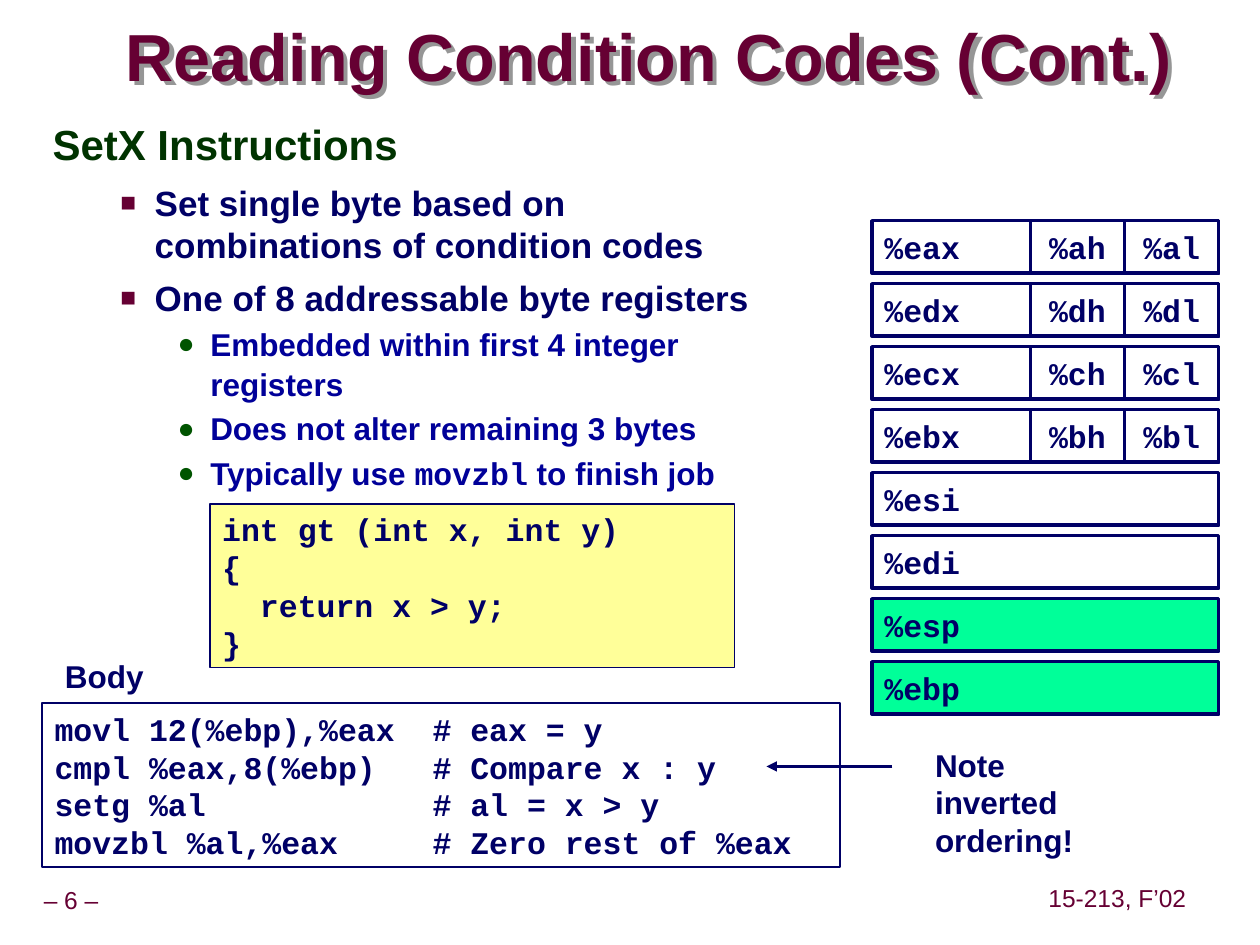
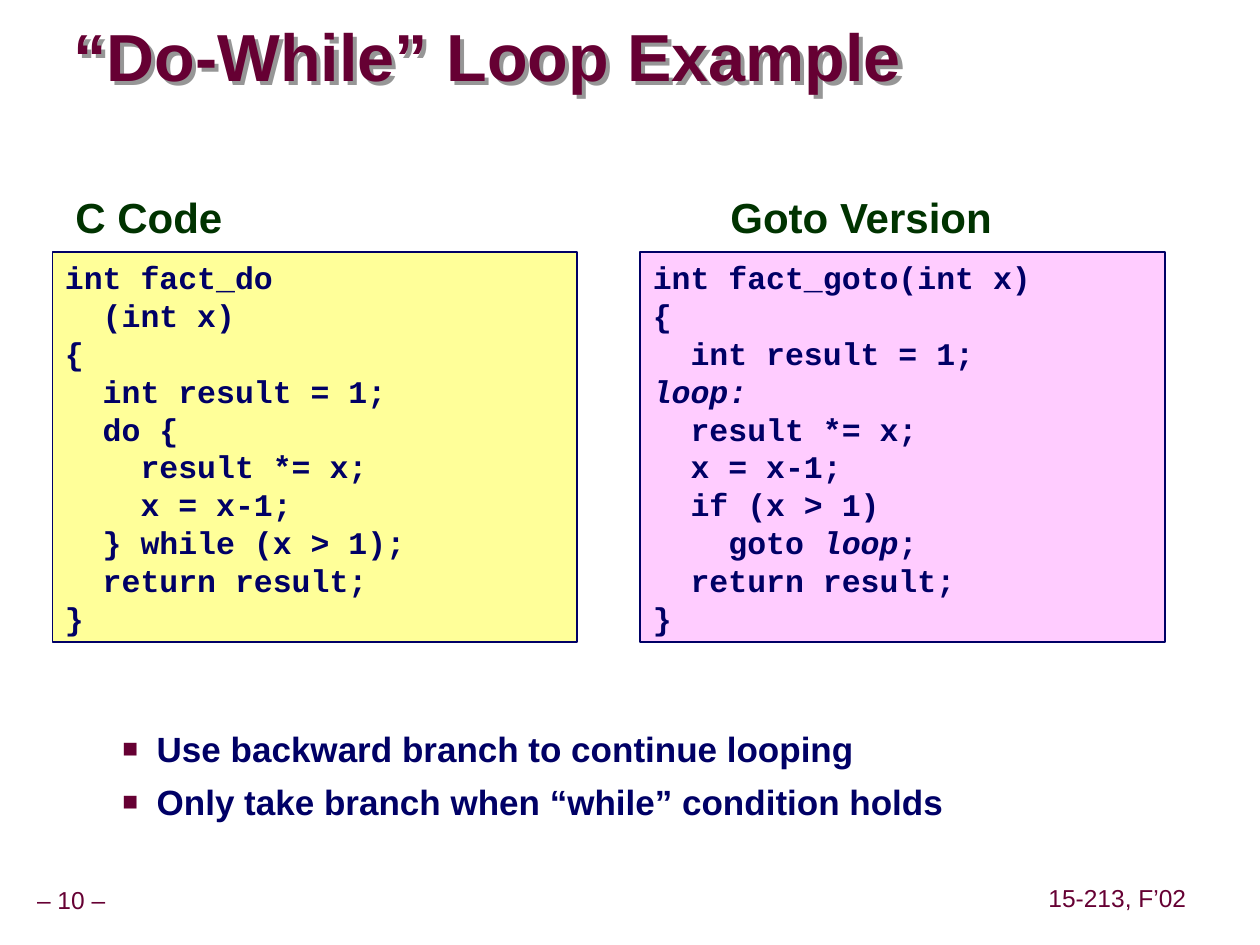
from dataclasses import dataclass
from typing import Optional

from lxml.etree import SubElement
from pptx import Presentation
from pptx.dml.color import RGBColor
from pptx.enum.shapes import MSO_CONNECTOR as Connector, MSO_SHAPE as Shape
from pptx.enum.text import MSO_ANCHOR as Anchor, PP_ALIGN as Align
from pptx.oxml.ns import qn
from pptx.util import Cm, Pt

MAROON = RGBColor(0x66, 0x00, 0x33)
NAVY = RGBColor(0x00, 0x00, 0x66)
BLUE = RGBColor(0x00, 0x00, 0x99)
DARK_GREEN = RGBColor(0x00, 0x33, 0x00)
BULLET_GREEN = RGBColor(0x00, 0x54, 0x00)
SHADOW_GRAY = RGBColor(0x96, 0x96, 0x96)
WHITE = RGBColor(0xFF, 0xFF, 0xFF)
YELLOW = RGBColor(0xFF, 0xFF, 0x99)
PINK = RGBColor(0xFF, 0xCC, 0xFF)
MINT = RGBColor(0x00, 0xFF, 0x99)
SANS, MONO = "Arial", "Courier New"


@dataclass
class TextStyle:
    size: float
    color: RGBColor
    font: str = SANS
    bold: bool = True
    line_spacing: Optional[float] = None
    space_before: float = 0
    indent: float = 0
    hanging: float = 0
    bullet: str = ""
    bullet_color: Optional[RGBColor] = None
    bullet_percent: int = 100
    tabs: tuple = ()
    accent_font: Optional[str] = None  # font of the marked segments; italic if none


TITLE = TextStyle(38, MAROON, line_spacing=0.87)
FOOTER = TextStyle(14, MAROON, bold=False, line_spacing=0.9)
HEADING = TextStyle(24, DARK_GREEN, line_spacing=0.95)
POINT = TextStyle(20, NAVY, space_before=6.2, indent=2.06, hanging=0.69,
                  bullet="■", bullet_color=MAROON, bullet_percent=75)
DETAIL = TextStyle(18, BLUE, line_spacing=1.07, space_before=2.2, indent=3.18, hanging=0.66,
                   bullet="●", bullet_color=BULLET_GREEN, bullet_percent=90, accent_font=MONO)
LABEL = TextStyle(18, NAVY)
CODE = TextStyle(18, NAVY, MONO, tabs=(5.08, 7.62))


class Deck:
    """Holds the presentation, its shared look and the current slide."""

    def __init__(self):
        self.presentation = Presentation()
        self.presentation.slide_width, self.presentation.slide_height = Cm(25.4), Cm(19.05)
        self.slide = None

    def new_slide(self, title, number, title_left, title_width):
        self.slide = self.presentation.slides.add_slide(self.presentation.slide_layouts[6])
        self.footer(f"– {number} –", 0, 17.78, 2.87)
        self.footer("15-213, F’02", 21, 17.75, 3.05)
        self.title(title, title_left, title_width)

    def title(self, title, left, width):
        box = self.text([(title, TITLE)], left, 0.43, width, 1.6, anchor=Anchor.MIDDLE, inset=(0, 0))
        effects = SubElement(box._element.spPr, qn("a:effectLst"))
        shadow = SubElement(effects, qn("a:outerShdw"), dist=str(Cm(0.12)), dir="2700000")
        SubElement(shadow, qn("a:srgbClr"), val=str(SHADOW_GRAY))

    def footer(self, text, left, top, width):
        self.text([(text, FOOTER)], left, top, width, 0.79, Align.CENTER, Anchor.MIDDLE, (0.13, 0.13))

    def text(self, lines, left, top, width, height, align=Align.LEFT, anchor=Anchor.TOP,
             inset=(0.25, 0.13)):
        box = self.slide.shapes.add_textbox(Cm(left), Cm(top), Cm(width), Cm(height))
        self.fill_text(box.text_frame, lines, align, anchor, inset)
        return box

    def box(self, lines, left, top, width, height, fill=None, line_width=1.0,
            align=Align.LEFT, anchor=Anchor.TOP):
        shape = self.slide.shapes.add_shape(Shape.RECTANGLE, Cm(left), Cm(top), Cm(width), Cm(height))
        shape.shadow.inherit = False
        if fill is None:
            shape.fill.background()
        else:
            shape.fill.solid()
            shape.fill.fore_color.rgb = fill
        shape.line.color.rgb = NAVY
        shape.line.width = Pt(line_width)
        self.fill_text(shape.text_frame, [(line, CODE) for line in lines], align, anchor)

    def fill_text(self, frame, lines, align, anchor, inset=(0.25, 0.13)):
        frame.word_wrap = True
        frame.vertical_anchor = anchor
        frame.margin_left = frame.margin_right = Cm(inset[0])
        frame.margin_top = frame.margin_bottom = Cm(inset[1])
        for index, (content, style) in enumerate(lines):
            paragraph = frame.add_paragraph() if index else frame.paragraphs[0]
            self.format_paragraph(paragraph, style, align, is_first=index == 0)
            segments = (content,) if isinstance(content, str) else content
            for position, segment in enumerate(segments):
                if not segment:
                    continue
                run = paragraph.add_run()
                run.text = segment
                if position % 2:  # every second segment is marked
                    if style.accent_font:
                        run.font.name = style.accent_font
                    else:
                        run.font.italic = True

    def format_paragraph(self, paragraph, style, align, is_first):
        properties = paragraph._p.get_or_add_pPr()
        if style.bullet:
            properties.set("marL", str(Cm(style.indent)))
            properties.set("indent", str(-Cm(style.hanging)))
            color = SubElement(properties, qn("a:buClr"))
            SubElement(color, qn("a:srgbClr"), val=str(style.bullet_color))
            SubElement(properties, qn("a:buSzPct"), val=str(style.bullet_percent * 1000))
            SubElement(properties, qn("a:buFont"), typeface=SANS)
            SubElement(properties, qn("a:buChar"), char=style.bullet)
        if style.tabs:
            tab_list = SubElement(properties, qn("a:tabLst"))
            for stop in style.tabs:
                SubElement(tab_list, qn("a:tab"), pos=str(Cm(stop)), algn="l")
        paragraph.alignment = align
        if style.line_spacing:
            paragraph.line_spacing = style.line_spacing
        if style.space_before and not is_first:
            paragraph.space_before = Pt(style.space_before)
        font = paragraph.font
        font.name, font.size, font.bold = style.font, Pt(style.size), style.bold
        font.color.rgb = style.color

    def arrow(self, start_x, end_x, y):
        line = self.slide.shapes.add_connector(
            Connector.STRAIGHT, Cm(start_x), Cm(y), Cm(end_x), Cm(y))
        line.line.color.rgb = NAVY
        line.line.width = Pt(2)
        SubElement(line.line._get_or_add_ln(), qn("a:tailEnd"), type="triangle")
        SubElement(line._element.spPr, qn("a:effectLst"))


def add_registers(deck):
    left, top, width, height, pitch, byte_width = 17.58, 4.45, 6.99, 1.06, 1.27, 1.9
    look = dict(line_width=2, anchor=Anchor.MIDDLE)
    for row, name in enumerate("eax edx ecx ebx esi edi esp ebp".split()):
        y = top + row * pitch
        fill = MINT if name in ("esp", "ebp") else WHITE
        deck.box([f"%{name}"], left, y, width, height, fill, **look)
        if row < 4:  # only the first four have byte registers
            for place, half in enumerate("lh", 1):
                deck.box([f"%{name[1]}{half}"], left + width - place * byte_width, y,
                         byte_width, height, WHITE, align=Align.CENTER, **look)


def build_condition_codes(deck):
    deck.new_slide("Reading Condition Codes (Cont.)", 6, 2.54, 22.23)
    deck.text([
        ("SetX Instructions", HEADING),
        ("Set single byte based on combinations of condition codes", POINT),
        ("One of 8 addressable byte registers", POINT),
        ("Embedded within first 4 integer registers", DETAIL),
        ("Does not alter remaining 3 bytes", DETAIL),
        (("Typically use ", "movzbl", " to finish job"), DETAIL),
    ], 0.81, 2.34, 15.37, 15.57)
    add_registers(deck)

    # C function and its assembly body
    deck.box(["int gt (int x, int y)", "{", "  return x > y;", "}"],
             4.23, 10.16, 10.58, 3.3, YELLOW)
    deck.box(["movl 12(%ebp),%eax\t# eax = y",
              "cmpl %eax,8(%ebp)\t# Compare x : y",
              "setg %al\t\t# al = x > y",
              "movzbl %al,%eax\t# Zero rest of %eax"], 0.85, 14.18, 16.09, 3.3)
    deck.text([("Body", LABEL)], 1.06, 13.12, 3.86, 1.02)

    # Remark on the comparison
    deck.arrow(17.99, 15.45, 15.45)
    deck.text([("Note inverted ordering!", LABEL)], 18.6, 14.9, 3.86, 2.54)


def build_do_while(deck):
    deck.new_slide("“Do-While” Loop Example", 10, 1.48, 20.96)
    c_code = ["int fact_do", "  (int x)", "{", "  int result = 1;", "  do {", "    result *= x;",
              "    x = x-1;", "  } while (x > 1);", "  return result;", "}"]
    goto_code = ["int fact_goto(int x)", "{", "  int result = 1;", ("", "loop:"),
                 "  result *= x;", "  x = x-1;", "  if (x > 1)", ("    goto ", "loop", ";"),
                 "  return result;", "}"]

    # Two versions side by side
    deck.text([("C Code", HEADING)], 1.27, 3.81, 7.24, 1.14)
    deck.text([("Goto Version", HEADING)], 14.17, 3.81, 6.38, 1.14, Align.CENTER)
    for left, code, fill in ((1.06, c_code, YELLOW), (12.91, goto_code, PINK)):
        deck.box(code, left, 5.08, 10.58, 7.87, fill)

    deck.text([("Use backward branch to continue looping", POINT),
               ("Only take branch when “while” condition holds", POINT)], 0.85, 14.53, 23.01, 2.39)


def main():
    deck = Deck()
    build_condition_codes(deck)
    build_do_while(deck)
    deck.presentation.save("out.pptx")


if __name__ == "__main__":
    main()
